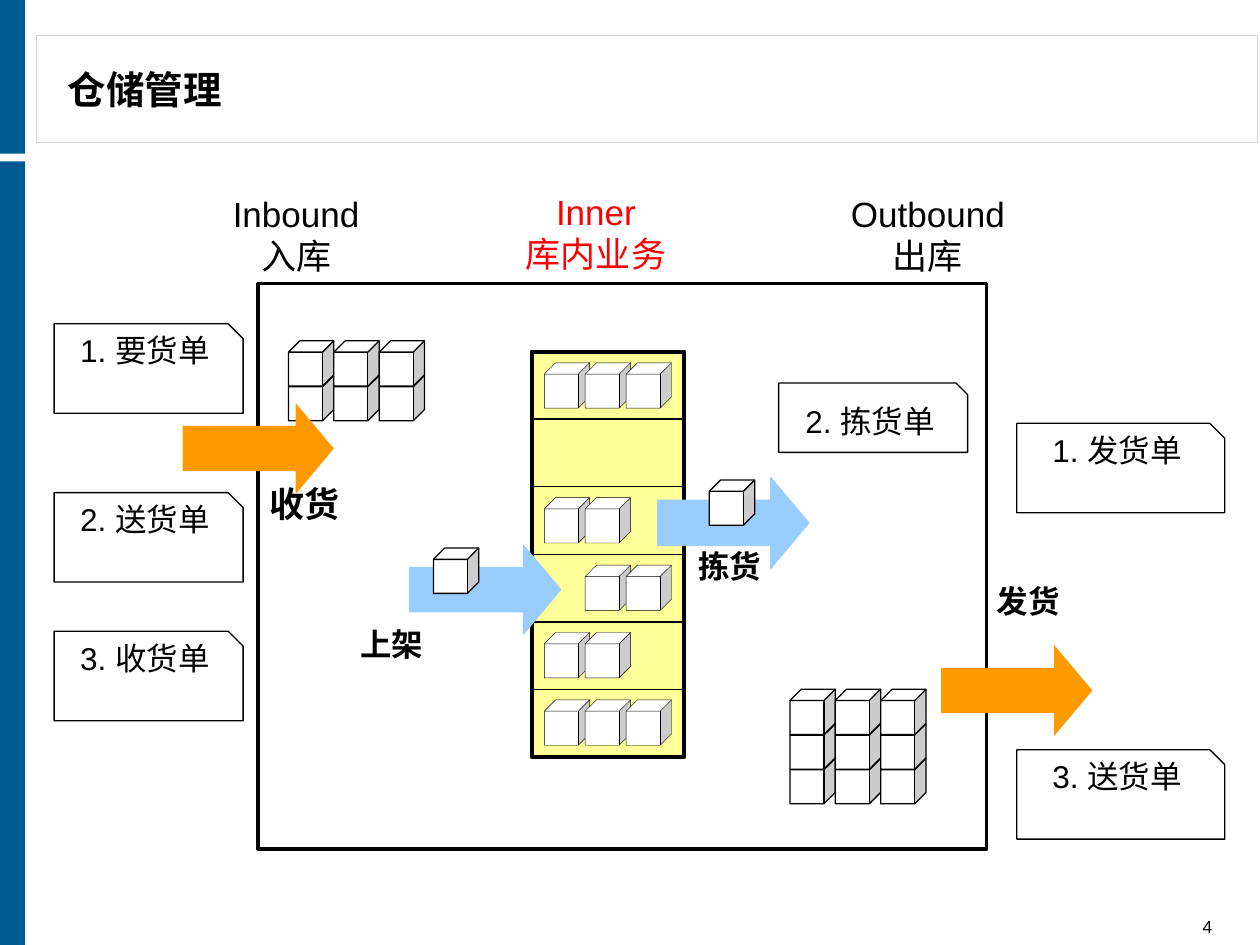
from collections import namedtuple

from lxml import etree
from pptx import Presentation, util as u
from pptx.dml.color import RGBColor
from pptx.enum import shapes, text
from pptx.oxml import ns

WHITE = RGBColor(0xFF, 0xFF, 0xFF)
BLACK = RGBColor(0, 0, 0)
RED = RGBColor(0xFF, 0, 0)
NAVY = RGBColor(0x00, 0x5A, 0x92)
GREY = RGBColor(0xD0, 0xD3, 0xDA)
ORANGE = RGBColor(0xFF, 0x99, 0x00)
SKY = RGBColor(0x99, 0xCC, 0xFF)
CREAM = RGBColor(0xFF, 0xFF, 0x99)

COLUMNS, ROWS = 100, 75
UNIT = u.Inches(10) / COLUMNS
CUBE = 3.6
FORM = shapes.MSO_SHAPE
ALIGN = text.PP_ALIGN
ANCHOR = text.MSO_ANCHOR
Box = namedtuple("Box", "left top width height")


def emu(*lengths):
    return [round(length * UNIT) for length in lengths]


def inside(box, left, top, width, height):
    return Box(box.left + left, box.top + top, width, height)


def add_form(slide, form, box, fill=None, line=None, weight=0.75):
    shape = slide.shapes.add_shape(form, *emu(*box))
    shape.shadow.inherit = False
    if fill is None:
        shape.fill.background()
    else:
        shape.fill.solid()
        shape.fill.fore_color.rgb = fill
    if line is None:
        shape.line.fill.background()
    else:
        shape.line.color.rgb = line
        shape.line.width = u.Pt(weight)
    return shape


def write(shape, words, size, align, anchor=ANCHOR.TOP, bold=False,
          color=BLACK, inset=0.1, edge=0, wrap=True):
    frame = shape.text_frame
    frame.word_wrap = wrap
    frame.vertical_anchor = anchor
    frame.margin_left = frame.margin_right = u.Inches(inset)
    frame.margin_top = frame.margin_bottom = u.Inches(edge)
    frame.text = words
    for paragraph in frame.paragraphs:
        paragraph.alignment = align
        for run in paragraph.runs:
            run.font.name = "Arial"
            run.font.size = u.Pt(size)
            run.font.bold = bold
            run.font.color.rgb = color


def add_words(slide, box, words, size, align, **style):
    write(slide.shapes.add_textbox(*emu(*box)), words, size, align, **style)


def add_label(slide, box, words, size=18):
    add_words(slide, box, words, size, ALIGN.JUSTIFY, bold=True, inset=0)


def add_arrow(slide, box, color, line=None):
    arrow = add_form(slide, FORM.RIGHT_ARROW, box, color, line)
    arrow.adjustments[1] = 0.42


def add_cube(slide, box, left, top, weight=0.75):
    add_form(slide, FORM.CUBE, inside(box, left, top, CUBE, CUBE), WHITE, BLACK, weight)


def add_stack(slide, box, layers):
    for layer in range(layers):
        for column in range(3):
            add_cube(slide, box, column * CUBE, box.height - CUBE - layer * 2.75)


def add_frame(slide, box):
    bar = 2
    add_form(slide, FORM.RECTANGLE, inside(box, 2.9, 2.8, 96.9, 8.5), WHITE, GREY)
    add_form(slide, FORM.RECTANGLE, inside(box, 0, 12.8, bar, box.height - 12.8), NAVY)
    add_form(slide, FORM.RECTANGLE, inside(box, 0, 0, bar, 12.2), NAVY)
    add_words(slide, inside(box, 4.4, 3.1, 63, 7.9), "仓储管理", 22, ALIGN.LEFT,
              anchor=ANCHOR.MIDDLE, bold=True)
    add_words(slide, inside(box, 87.8, 72.6, 9.4, 1.8), "4", 10, ALIGN.RIGHT,
              anchor=ANCHOR.BOTTOM)


def add_rack(slide, box):
    shelves = [(0, 1, 2), (), (0, 1), (1, 2), (0, 1), (0, 1, 2)]
    pitch = box.height / len(shelves)
    rack = add_form(slide, FORM.RECTANGLE, box, CREAM, BLACK, 2.25)
    for shelf, slots in enumerate(shelves):
        top = box.top + shelf * pitch
        divider = slide.shapes.add_connector(
            shapes.MSO_CONNECTOR.STRAIGHT,
            *emu(box.left, top, box.left + box.width, top))
        divider.line.color.rgb = BLACK
        divider.line.width = u.Pt(0.75)
        etree.SubElement(divider._element.spPr, ns.qn("a:effectLst"))
        if shelf * 2 == len(shelves):
            divider.begin_connect(rack, 1)
            divider.end_connect(rack, 3)
        for slot in slots:
            add_cube(slide, box, 1 + slot * 3.25, 0.9 + shelf * 5.35, 0.25)


def add_move(slide, box, cube_left, cube_top):
    add_arrow(slide, box, SKY, SKY)
    add_cube(slide, box, cube_left, cube_top)


def add_warehouse(slide, box):
    add_form(slide, FORM.RECTANGLE, box, None, BLACK, 2.25)
    add_rack(slide, inside(box, 21.7, 5.4, 12.1, 32.2))
    add_move(slide, inside(box, 12, 20.8, 12, 7), 1.9, 0.2)
    add_move(slide, inside(box, 31.7, 15.4, 12, 7.2), 4.1, 0.2)
    add_stack(slide, inside(box, 2.4, 4.6, 3 * CUBE, 6.3), 2)
    add_stack(slide, inside(box, 42.2, 32.2, 3 * CUBE, 9.1), 3)
    add_arrow(slide, inside(box, 54.2, 28.7, 12, 7.2), ORANGE)
    add_label(slide, inside(box, 0.9, 15.8, 11.2, 7.2), "收货", 20)
    add_label(slide, inside(box, 8.1, 27.1, 15.7, 6.4), "上架")
    add_label(slide, inside(box, 34.9, 20.9, 12, 7.2), "拣货")
    add_label(slide, inside(box, 58.6, 23.7, 9.6, 5.4), "发货")
    add_arrow(slide, inside(box, -6, 9.5, 12, 7.2), ORANGE)


def add_document(slide, box, words, anchor=ANCHOR.TOP):
    sheet = add_form(slide, FORM.SNIP_1_RECTANGLE, box, WHITE, BLACK)
    write(sheet, words, 18, ALIGN.CENTER, anchor=anchor)


def add_documents(slide, box, documents):
    for top, words in documents:
        add_document(slide, inside(box, 0, top, box.width, 7.1), words)


def add_headings(slide, box):
    for left, top, width, words, color in [
        (0, 0.2, 12.2, "Inbound\n入库", BLACK),
        (23.3, 0, 13.2, "Inner\n库内业务", RED),
        (49.1, 0.2, 14.3, "Outbound\n出库", BLACK),
    ]:
        add_words(slide, inside(box, left, top, width, 7.7), words, 20, ALIGN.CENTER,
                  color=color, edge=0.05, wrap=False)


def main():
    deck = Presentation()
    deck.slide_width, deck.slide_height = emu(COLUMNS, ROWS)
    slide = deck.slides.add_slide(deck.slide_layouts[6])
    add_frame(slide, Box(0, 0, COLUMNS, ROWS))
    add_warehouse(slide, Box(20.5, 22.5, 57.8, 44.9))
    add_documents(slide, Box(4.3, 25.7, 15, 31.5),
                  [(0, "1. 要货单"), (13.4, "2. 送货单"), (24.4, "3. 收货单")])
    add_document(slide, Box(61.8, 30.4, 15, 5.5), "2. 拣货单", ANCHOR.MIDDLE)
    add_documents(slide, Box(80.7, 33.6, 16.5, 33),
                  [(0, "1. 发货单"), (25.9, "3. 送货单")])
    add_headings(slide, Box(17.4, 14.6, 63.4, 7.9))
    deck.save("out.pptx")


if __name__ == "__main__":
    main()
